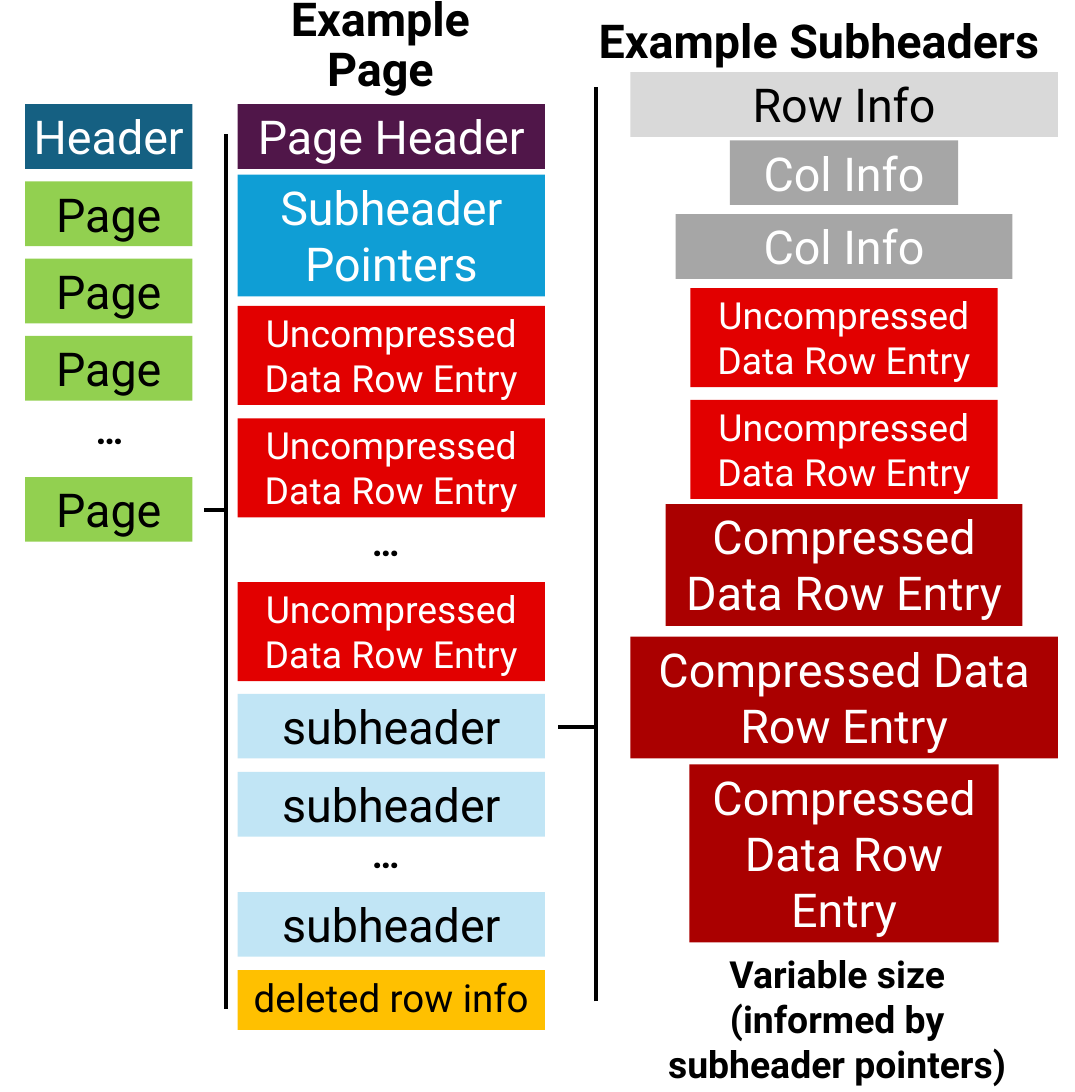
from lxml import etree
from pptx import Presentation
from pptx.dml.color import RGBColor
from pptx.enum.shapes import MSO_CONNECTOR, MSO_SHAPE
from pptx.enum.text import MSO_ANCHOR, PP_ALIGN
from pptx.oxml.ns import qn
from pptx.util import Inches, Pt

RECTANGLE = MSO_SHAPE.RECTANGLE
STRAIGHT = MSO_CONNECTOR.STRAIGHT
TOP = MSO_ANCHOR.TOP
LEFT, CENTER = PP_ALIGN.LEFT, PP_ALIGN.CENTER

FONT = "Roboto"
BLACK, WHITE = "000000", "FFFFFF"
TEAL, GREEN, PURPLE, BLUE = "156082", "92D050", "501649", "0F9ED5"
PALE_BLUE, AMBER = "C1E5F5", "FFC000"
LIGHT_GRAY, GRAY = "D9D9D9", "A6A6A6"
RED, DARK_RED = "E20000", "AA0000"

# Box height for one, two and three lines of 40 pt text
ONE_LINE, TWO_LINES, THREE_LINES = 0.77, 1.45, 2.12
ENTRY_HEIGHT = 1.18
FILE_LEFT, FILE_WIDTH = 0.3, 1.99
PAGE_LEFT, PAGE_WIDTH = 2.83, 3.66
SUBHEADERS_CENTER = 10.05


def rgb(color):
    return RGBColor.from_string(color)


UNCOMPRESSED = "Uncompressed Data Row Entry"
COMPRESSED = "Compressed Data Row Entry"


def set_text(shape, text, size, color, bold=False, align=CENTER, wrap=True,
             spacing=1.0):
    frame = shape.text_frame
    frame.text = text
    frame.word_wrap = wrap
    frame.vertical_anchor = TOP
    for para in frame.paragraphs:
        para.alignment = align
        para.line_spacing = spacing
        para.font.name = FONT
        para.font.size = Pt(size)
        para.font.bold = bold
        para.font.color.rgb = rgb(color)


def add_block(page, text, left, top, width, height, fill, color=WHITE,
              size=40, wrap=True):
    block = page.shapes.add_shape(RECTANGLE, Inches(left), Inches(top),
                                  Inches(width), Inches(height))
    block.shadow.inherit = False
    block.fill.solid()
    block.fill.fore_color.rgb = rgb(fill)
    block.line.fill.background()
    set_text(block, text, size, color, wrap=wrap)


def add_label(page, text, left, top, width, height, size=40, align=CENTER,
              spacing=1.0):
    label = page.shapes.add_textbox(Inches(left), Inches(top),
                                    Inches(width), Inches(height))
    set_text(label, text, size, BLACK, bold=True, align=align,
             spacing=spacing)


def add_ellipsis(page, left, top):
    add_label(page, "…", left, top, 0.66, 0.64, 32, LEFT)


def add_line(page, x1, y1, x2, y2):
    line = page.shapes.add_connector(STRAIGHT, Inches(x1), Inches(y1),
                                     Inches(x2), Inches(y2))
    line.line.color.rgb = rgb(BLACK)
    line.line.width = Pt(3.5)
    etree.SubElement(line._element.spPr, qn("a:effectLst"))


def add_bracket(page, x, top, bottom, stem_left, stem_y):
    """Vertical line with a stem from the block that it expands."""
    add_line(page, x, bottom, x, top)
    add_line(page, stem_left, stem_y, x, stem_y)


def add_file_column(page):
    add_block(page, "Header", FILE_LEFT, 1.24, FILE_WIDTH, ONE_LINE, TEAL,
              wrap=False)
    for top in (2.16, 3.08, 4, 5.68):
        add_block(page, "Page", FILE_LEFT, top, FILE_WIDTH, ONE_LINE, GREEN,
                  BLACK)
    add_ellipsis(page, 1.04, 4.8)


def add_page_column(page):
    # Tight lines keep the heading clear of the block below it
    add_label(page, "Example\nPage", 3.1, -0.1, 2.86, 1.3, spacing=0.9)
    blocks = [
        ("Page Header", 1.24, ONE_LINE, PURPLE, WHITE, 40),
        ("Subheader\nPointers", 2.08, TWO_LINES, BLUE, WHITE, 40),
    ]
    blocks += [(UNCOMPRESSED, top, ENTRY_HEIGHT, RED, WHITE, 32)
               for top in (3.64, 4.98, 6.93)]
    blocks += [("subheader", top, ONE_LINE, PALE_BLUE, BLACK, 40)
               for top in (8.26, 9.19, 10.62)]
    blocks.append(("deleted row info", 11.55, 0.71, AMBER, BLACK, 33))
    for text, top, height, fill, color, size in blocks:
        add_block(page, text, PAGE_LEFT, top, PAGE_WIDTH, height, fill, color,
                  size)
    for top in (6.13, 9.85):
        add_ellipsis(page, 4.33, top)


def add_subheaders_column(page):
    add_label(page, "Example Subheaders", 6.89, 0.09, 5.72, ONE_LINE)
    blocks = [
        ("Row Info", 0.86, 5.09, ONE_LINE, LIGHT_GRAY, BLACK, 40),
        ("Col Info", 1.67, 2.72, ONE_LINE, GRAY, WHITE, 40),
        ("Col Info", 2.55, 4.01, ONE_LINE, GRAY, WHITE, 40),
        (UNCOMPRESSED, 3.43, 3.66, ENTRY_HEIGHT, RED, WHITE, 32),
        (UNCOMPRESSED, 4.76, 3.66, ENTRY_HEIGHT, RED, WHITE, 32),
        (COMPRESSED, 6, 4.25, TWO_LINES, DARK_RED, WHITE, 40),
        (COMPRESSED, 7.58, 5.09, TWO_LINES, DARK_RED, WHITE, 40),
        (COMPRESSED, 9.1, 3.68, THREE_LINES, DARK_RED, WHITE, 40),
    ]
    for text, top, width, height, fill, color, size in blocks:
        add_block(page, text, SUBHEADERS_CENTER - width / 2, top, width,
                  height, fill, color, size)
    add_label(page, "Variable size\n(informed by subheader pointers)",
              7.58, 11.28, 4.78, 1.72, 32)


def main():
    deck = Presentation()
    deck.slide_width, deck.slide_height = Inches(12.8), Inches(13)
    page = deck.slides.add_slide(deck.slide_layouts.get_by_name("Blank"))
    add_file_column(page)
    add_page_column(page)
    add_subheaders_column(page)
    add_bracket(page, 2.69, 1.59, 12.01, 2.43, 6.07)
    add_bracket(page, 7.1, 1.03, 11.92, 6.65, 8.65)
    deck.save("out.pptx")


if __name__ == "__main__":
    main()
